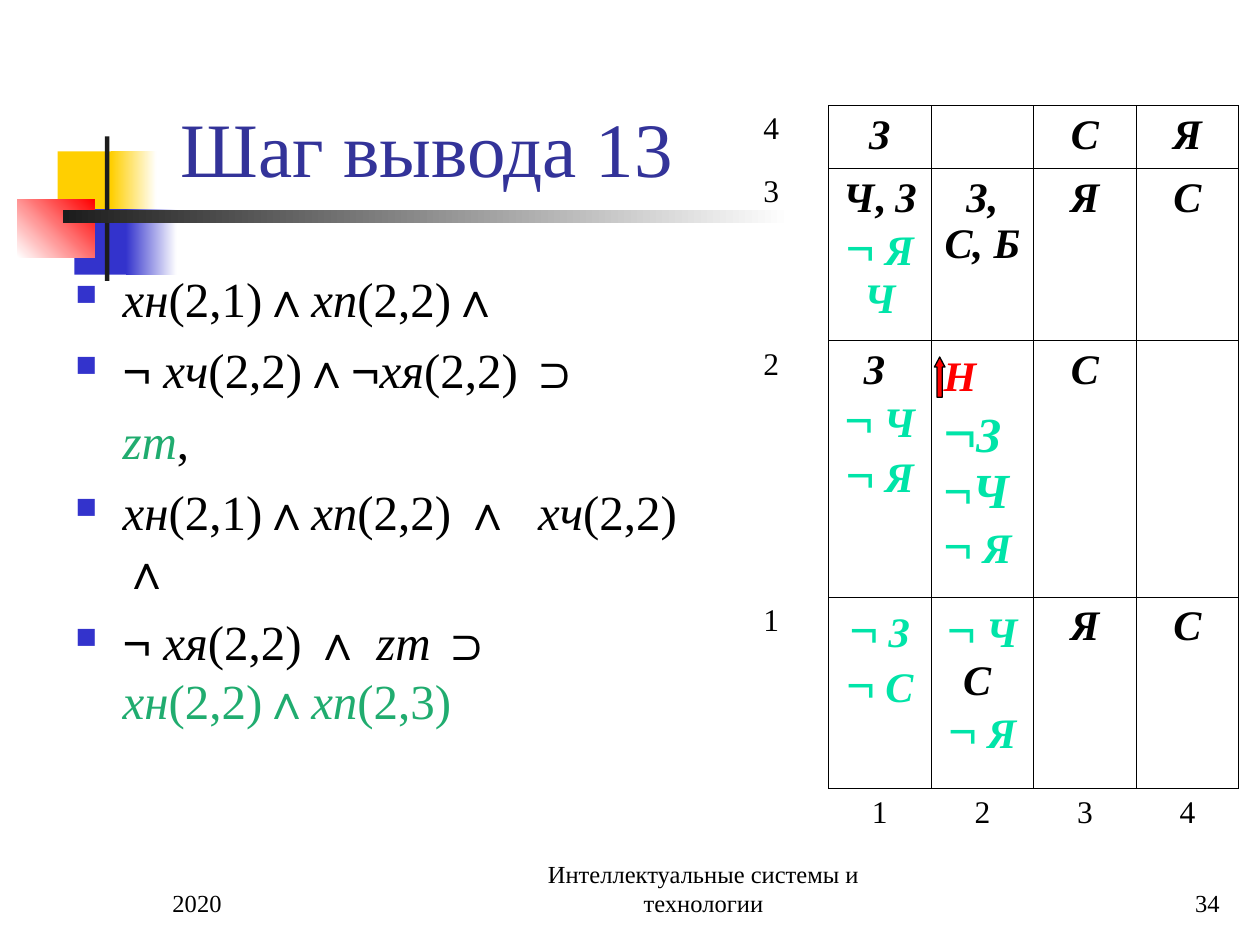
"""Builds the slide 'Шаг вывода 13': inference rules beside a 4 by 4 cave grid."""
from lxml import etree
from pptx import Presentation
from pptx.dml.color import RGBColor
from pptx.enum.shapes import MSO_SHAPE
from pptx.enum.text import MSO_ANCHOR, MSO_AUTO_SIZE, PP_ALIGN
from pptx.oxml.ns import qn
from pptx.util import Pt

BLACK = RGBColor(0x00, 0x00, 0x00)
WHITE = RGBColor(0xFF, 0xFF, 0xFF)
CHARCOAL = RGBColor(0x1C, 0x1C, 0x1C)
YELLOW = RGBColor(0xFF, 0xCF, 0x01)
BLUE = RGBColor(0x33, 0x33, 0xCC)
NAVY = RGBColor(0x33, 0x33, 0x99)
RED = RGBColor(0xFF, 0x00, 0x00)
GREEN = RGBColor(0x20, 0xAC, 0x6F)
MINT = RGBColor(0x00, 0xE4, 0xA8)
SERIF, SANS = "Times New Roman", "Arial"

TITLE = (44, SERIF, NAVY, False, False)
FOOTER = (14, SERIF, BLACK, False, False)
LABEL = (18, SERIF, BLACK, False, False)
NAME = (28, SERIF, BLACK, False, True)
ARGS = (28, SERIF, BLACK, False, False)
SIGN = (28, SANS, BLACK, False, False)
NEW_NAME = (28, SERIF, GREEN, False, True)
NEW_ARGS = (28, SERIF, GREEN, False, False)
NEW_SIGN = (28, SANS, GREEN, False, True)
KNOWN = (24, SERIF, BLACK, True, True)
COMMA = (24, SERIF, BLACK, True, False)
AGENT = (24, SERIF, RED, True, True)
DENIED = (24, SERIF, MINT, True, True)
DENIED_BIG = (28, SERIF, MINT, True, True)
NOT = (28, SANS, MINT, False, False)
NOT_BIG = (32, SANS, MINT, False, False)


def write(para, runs, align=PP_ALIGN.LEFT):
    para.alignment = align
    for text, (size, face, color, bold, italic) in runs:
        span = para.add_run()
        span.text = text
        font = span.font
        font.size, font.name, font.bold, font.italic = Pt(size), face, bold, italic
        font.color.rgb = color


def add_block(shapes, kind, left, top, width, height, color):
    block = shapes.add_shape(kind, Pt(left), Pt(top), Pt(width), Pt(height))
    block.shadow.inherit = False
    block.line.fill.background()
    block.fill.solid()
    block.fill.fore_color.rgb = color
    return block


deck = Presentation()
deck.slide_width, deck.slide_height = Pt(720), Pt(540)
page = deck.slides.add_slide(deck.slide_layouts[5])
shapes = page.shapes

for left, top, width, height, start, end, angle in [
    (33, 86.5, 34.5, 37.5, YELLOW, None, 0),
    (63.5, 86.5, 26, 37.5, YELLOW, WHITE, 0),
    (42.5, 119.5, 33, 37.5, BLUE, None, 0),
    (72, 119.5, 29, 37.5, BLUE, WHITE, 0),
    (10, 114, 44, 33, WHITE, RED, 45),
    (60, 78, 2.5, 82.5, CHARCOAL, None, 0),
    (36, 120, 415.5, 7.5, CHARCOAL, WHITE, 0),
]:
    block = add_block(shapes, MSO_SHAPE.RECTANGLE, left, top, width, height, start)
    if end is not None:
        block.fill.gradient()
        block.fill.gradient_angle = angle
        for stop, color, position in zip(block.fill.gradient_stops, (start, end), (0, 1)):
            stop.color.rgb = color
            stop.position = position

title = shapes.title
title.left, title.top, title.width, title.height = Pt(96), Pt(12), Pt(613.5), Pt(102)
title.text_frame.auto_size = MSO_AUTO_SIZE.NONE
title.text_frame.vertical_anchor = MSO_ANCHOR.BOTTOM
write(title.text_frame.paragraphs[0], [("Шаг вывода 13", TITLE)])

for text, left, width, align in [
    ("2020", 91.5, 150, PP_ALIGN.LEFT),
    ("Интеллектуальные системы и технологии", 288, 228, PP_ALIGN.CENTER),
    ("34", 554, 150, PP_ALIGN.RIGHT),
]:
    box = shapes.add_textbox(Pt(left), Pt(492), Pt(width), Pt(36))
    box.text_frame.word_wrap = True
    box.text_frame.vertical_anchor = MSO_ANCHOR.BOTTOM
    write(box.text_frame.paragraphs[0], [(text, FOOTER)], align)

rules = [
    [("xн", NAME), ("(2,1)", ARGS), ("∧", SIGN), ("xn", NAME), ("(2,2)", ARGS), ("∧", SIGN)],
    [("¬", SIGN), (" xч", NAME), ("(2,2)", ARGS), ("∧¬", SIGN), ("xя", NAME),
     ("(2,2) ", ARGS), ("⊃", SIGN)],
    [("zm", NEW_NAME), (",", ARGS)],
    [("xн", NAME), ("(2,1)", ARGS), ("∧", SIGN), ("xn", NAME), ("(2,2) ", ARGS),
     ("∧ ", SIGN), (" xч", NAME), ("(2,2) ", ARGS), ("∧", SIGN)],
    [("¬", SIGN), (" xя", NAME), ("(2,2) ", ARGS), ("∧ ", SIGN), ("zm ", NAME), ("⊃ ", SIGN),
     ("xн", NEW_NAME), ("(2,2)", NEW_ARGS), ("∧", NEW_SIGN), ("xn", NEW_NAME),
     ("(2,3)", NEW_ARGS)],
]
body = shapes.add_textbox(Pt(36), Pt(150), Pt(390), Pt(333)).text_frame
body.word_wrap = True
for index, runs in enumerate(rules):
    para = body.add_paragraph() if index else body.paragraphs[0]
    write(para, runs)
    para.space_before = Pt(7)
    properties = para._p.get_or_add_pPr()
    properties.set("marL", str(Pt(27)))
    if runs[0][1] is not NEW_NAME:
        properties.set("indent", str(-Pt(27)))
        bullet_color = etree.SubElement(properties, qn("a:buClr"))
        etree.SubElement(bullet_color, qn("a:srgbClr"), val=str(BLUE))
        etree.SubElement(properties, qn("a:buSzPct"), val="60000")
        etree.SubElement(properties, qn("a:buChar"), char="■")

stench, glow = [[("С", KNOWN)]], [[("Я", KNOWN)]]
not_pit = [("¬", NOT), (" Я", DENIED)]
cave = [
    [[[("З", KNOWN)]], [], stench, glow],
    [[[("Ч", KNOWN), (", ", COMMA), ("З ", KNOWN), ("¬", NOT), (" Я Ч", DENIED)]],
     [[("З, С, Б ", KNOWN)]], glow, stench],
    [[[("З ", KNOWN)], [("¬", NOT), (" Ч ", DENIED)] + not_pit],
     [[("Н", AGENT), (" ", NOT), ("¬", NOT_BIG), ("З ", DENIED_BIG), ("¬", NOT),
       ("Ч", DENIED_BIG)] + not_pit],
     stench, []],
    [[[("¬", NOT), (" З ", DENIED), ("¬", NOT), (" С", DENIED)]],
     [[("¬", NOT), (" Ч", DENIED), (" С ", KNOWN)], not_pit], glow, stench],
]
grid = [[[[(str(4 - index), LABEL)]]] + row for index, row in enumerate(cave)]
grid.append([[]] + [[[(str(number), LABEL)]] for number in range(1, 5)])

frame = shapes.add_table(5, 5, Pt(408), Pt(60.25), Pt(299.9), Pt(431.25))
table = frame.table
table.first_row = table.horz_banding = False
table._tbl.tblPr.find(qn("a:tableStyleId")).text = "{2D5ABB26-0587-4C30-8999-92F81FD0307C}"
for column, width in zip(table.columns, [65.5] + [58.6] * 4):
    column.width = Pt(width)
for row, height in zip(table.rows, [36, 98.5, 146.25, 109.5, 41]):
    row.height = Pt(height)

for row, contents in enumerate(grid):
    for column, paragraphs in enumerate(contents):
        cell = table.cell(row, column)
        holds_agent = (row, column) == (2, 2)
        for index, runs in enumerate(paragraphs):
            text = cell.text_frame
            para = text.add_paragraph() if index else text.paragraphs[0]
            write(para, runs, PP_ALIGN.LEFT if holds_agent else PP_ALIGN.CENTER)
            if holds_agent:
                para.space_before = Pt(6)
        if column and row < 4:
            edges = ["lnL", "lnR", "lnT", "lnB"]
        elif column:
            edges = ["lnT"]
        else:
            edges = ["lnR"] if row < 4 else []
        properties = cell._tc.get_or_add_tcPr()
        for edge in edges:
            line = etree.SubElement(properties, qn("a:" + edge), w=str(Pt(0.45)))
            fill = etree.SubElement(line, qn("a:solidFill"))
            etree.SubElement(fill, qn("a:srgbClr"), val=str(BLACK))
        cell.fill.background()

arrow = add_block(shapes, MSO_SHAPE.UP_ARROW, 534, 204, 6, 23, RED)
arrow.adjustments[0], arrow.adjustments[1] = 0.5, 0.95
arrow.line.color.rgb = BLACK
arrow.line.width = Pt(0.75)

deck.save("out.pptx")
